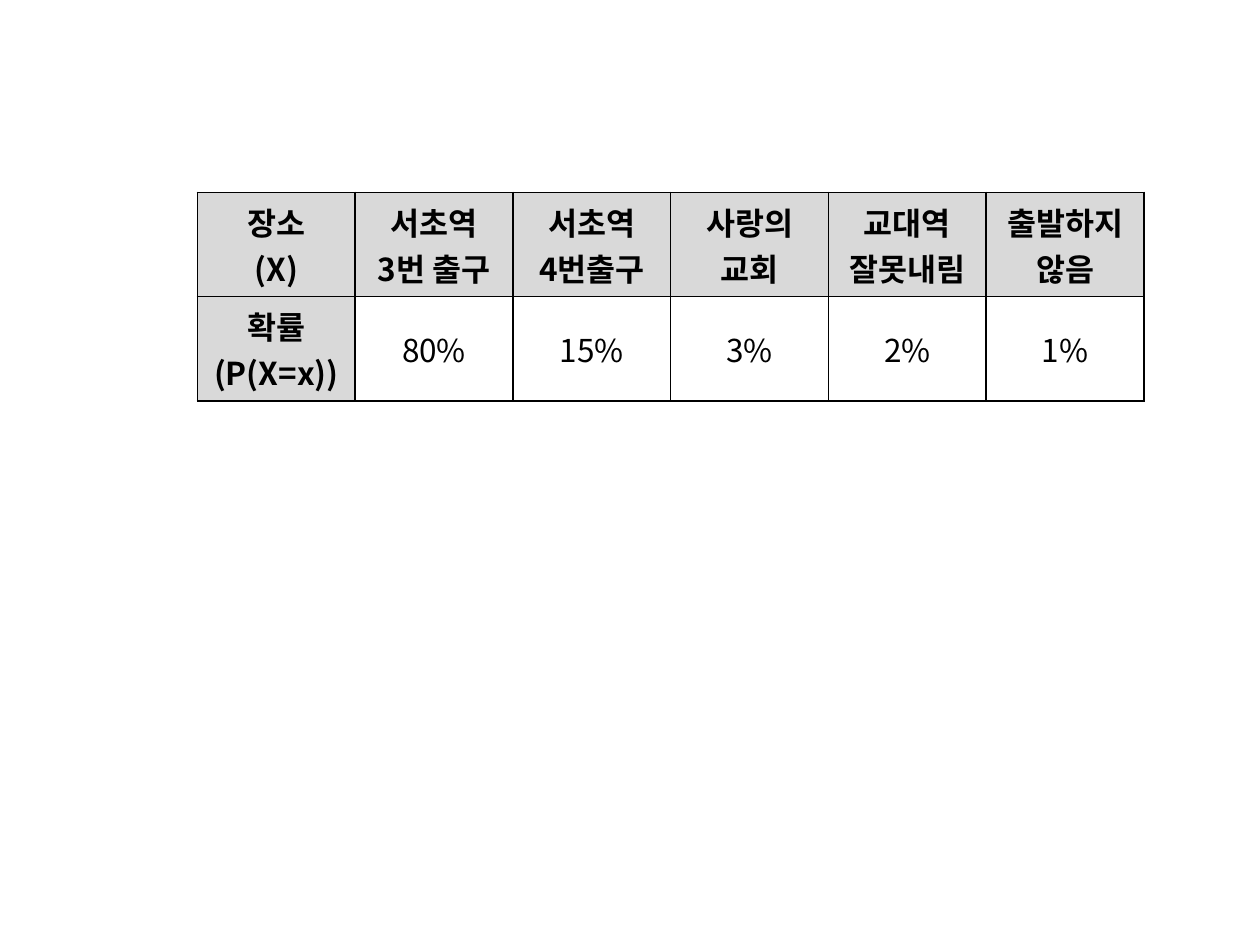
from lxml import etree
from pptx import Presentation
from pptx.dml.color import RGBColor
from pptx.enum.text import MSO_ANCHOR, PP_ALIGN
from pptx.oxml.ns import qn
from pptx.util import Cm, Pt

CENTER = PP_ALIGN.CENTER
MIDDLE = MSO_ANCHOR.MIDDLE
BLACK = RGBColor(0x00, 0x00, 0x00)
WHITE = RGBColor(0xFF, 0xFF, 0xFF)
GRAY = RGBColor(0xD9, 0xD9, 0xD9)
FONT = "Noto Sans CJK KR"

PROBABILITIES = [
    ["장소\n(X)", "서초역\n3번 출구", "서초역\n4번출구", "사랑의 교회",
     "교대역\n잘못내림", "출발하지 않음"],
    ["확률(P(X=x))", "80%", "15%", "3%", "2%", "1%"],
]
LEFT, TOP = 3.98, 3.88
COLUMN_WIDTH, ROW_HEIGHT = 3.18, 2.1
BORDER_WIDTH = Pt(1)


def add_borders(cell):
    properties = cell._tc.get_or_add_tcPr()
    for index, side in enumerate(("a:lnL", "a:lnR", "a:lnT", "a:lnB")):
        border = etree.Element(qn(side), w=str(BORDER_WIDTH))
        fill = etree.SubElement(border, qn("a:solidFill"))
        etree.SubElement(fill, qn("a:srgbClr"), val=str(BLACK))
        properties.insert(index, border)


def format_cell(cell, text, is_header):
    cell.text = text
    cell.vertical_anchor = MIDDLE
    cell.fill.solid()
    cell.fill.fore_color.rgb = GRAY if is_header else WHITE
    add_borders(cell)
    for paragraph in cell.text_frame.paragraphs:
        paragraph.alignment = CENTER
        font = paragraph.font
        font.size = Pt(18)
        font.bold = is_header
        font.color.rgb = BLACK
        font.name = FONT
        defaults = paragraph._p.pPr.find(qn("a:defRPr"))
        etree.SubElement(defaults, qn("a:ea"), typeface=FONT)


def main():
    presentation = Presentation()
    presentation.slide_width = Cm(25.4)
    presentation.slide_height = Cm(19.05)
    slide = presentation.slides.add_slide(presentation.slide_layouts[6])

    row_count, column_count = len(PROBABILITIES), len(PROBABILITIES[0])
    table = slide.shapes.add_table(
        row_count, column_count, Cm(LEFT), Cm(TOP),
        Cm(COLUMN_WIDTH * column_count), Cm(ROW_HEIGHT * row_count)).table
    for column in table.columns:
        column.width = Cm(COLUMN_WIDTH)
    for row_index, row in enumerate(PROBABILITIES):
        table.rows[row_index].height = Cm(ROW_HEIGHT)
        for column_index, text in enumerate(row):
            is_header = row_index == 0 or column_index == 0
            format_cell(table.cell(row_index, column_index), text, is_header)

    presentation.save("out.pptx")


if __name__ == "__main__":
    main()
